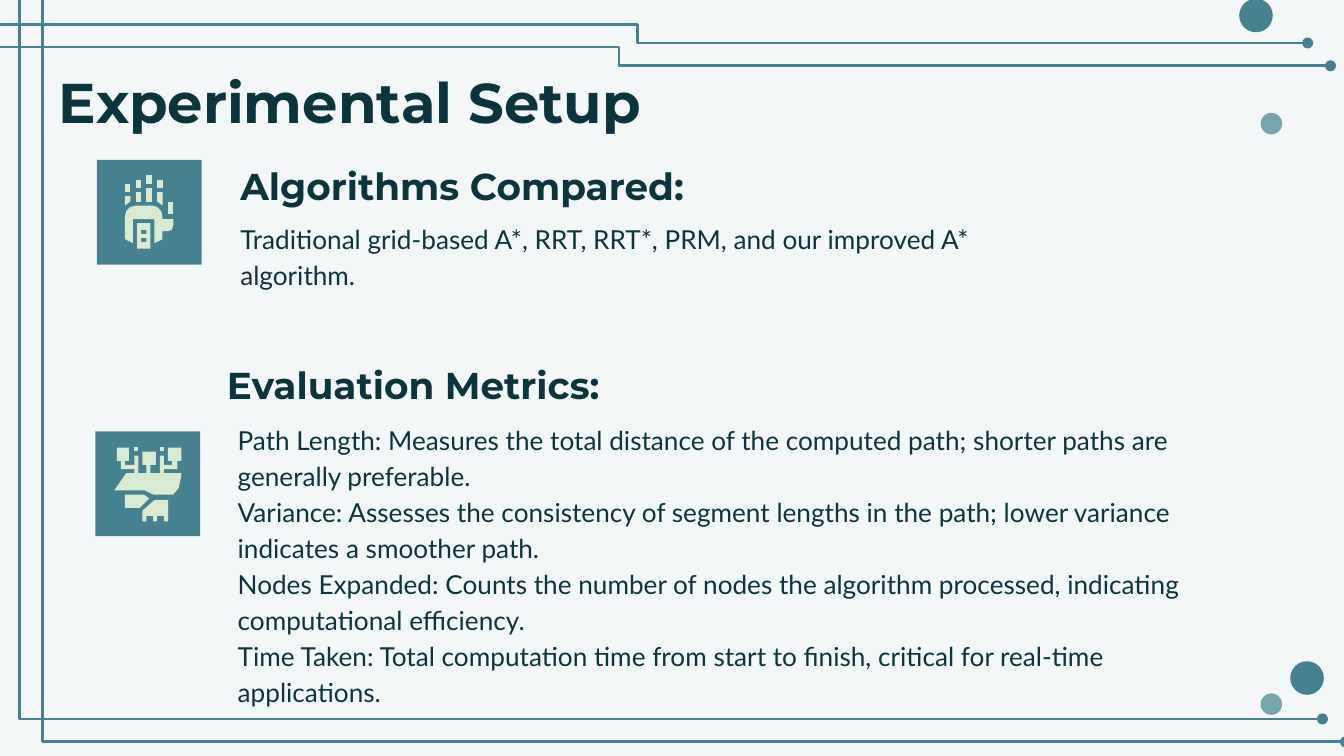
from lxml import etree
from pptx import Presentation, util as u
from pptx.dml.color import RGBColor
from pptx.enum import shapes as sh, text as tx
from pptx.oxml.ns import qn

theme = {
    "back": "F3F7F8", "teal": "45818E", "pale": "76A5AF",
    "mint": "D9EAD3", "ink": "0C343D",
    # font, size, bold, line spacing, anchor
    "title": ("Montserrat", 30, True, 1, tx.MSO_ANCHOR.TOP),
    "head": ("Montserrat", 20, True, 1.15, tx.MSO_ANCHOR.BOTTOM),
    "body": ("Lato", 14, False, 1.15, tx.MSO_ANCHOR.TOP),
}

deck = Presentation()
deck.slide_width = u.Inches(10)
deck.slide_height = deck.slide_width * 9 // 16
slide = deck.slides.add_slide(deck.slide_layouts[6])

# Grid: the slide is 1000 columns wide, and rows are as tall as columns
unit = deck.slide_width // 1000


def hue(name):
    return RGBColor.from_string(theme[name])


def paint(shape, name):
    shape.shadow.inherit = False
    shape.fill.solid()
    shape.fill.fore_color.rgb = hue(name)
    shape.line.fill.background()


slide.background.fill.solid()
slide.background.fill.fore_color.rgb = hue("back")

# Circuit lines: start, end, place of the bend in 1/100000 of the width
for x1, y1, x2, y2, bend in [
    (7, -65, 984, 535, 800),
    (-24, 18, 973, 32, 50000),
    (-7, 35, 990, 49, 46900),
    (24, -48, 1001, 552, 800),
]:
    wire = slide.shapes.add_connector(
        sh.MSO_CONNECTOR.ELBOW, *(n * unit for n in (x1, y1, x2, y2)))
    wire.line.color.rgb = hue("teal")
    wire.line.width = u.Pt(1.5)
    props = wire.element.spPr
    guides = props.find(qn("a:prstGeom")).get_or_add_avLst()
    etree.SubElement(guides, qn("a:gd"), name="adj1", fmla=f"val {bend}")
    etree.SubElement(props.find(qn("a:ln")), qn("a:tailEnd"), type="oval")
    etree.SubElement(props, qn("a:effectLst"))

# Corner dots
for x, y, size, name in [
    (938, 516, 16, "pale"), (960, 492, 25, "teal"),
    (938, 84, 16, "pale"), (922, -1, 25, "teal"),
]:
    dot = slide.shapes.add_shape(
        sh.MSO_SHAPE.OVAL, *(n * unit for n in (x, y, size, size)))
    paint(dot, name)

# Texts
for style, x, y, w, h, lines in [
    ("title", 34, 40, 843, 63, ["Experimental Setup"]),
    ("body", 169, 153, 574, 66, [
        "Traditional grid-based A*, RRT, RRT*, PRM, and our improved A* algorithm."]),
    ("body", 167, 302, 728, 221, [
        "Path Length: Measures the total distance of the computed path; shorter paths are generally preferable.",
        "Variance: Assesses the consistency of segment lengths in the path; lower variance indicates a smoother path.",
        "Nodes Expanded: Counts the number of nodes the algorithm processed, indicating computational efficiency.",
        "Time Taken: Total computation time from start to finish, critical for real-time applications."]),
    ("head", 169, 125, 574, 40, ["Algorithms Compared:"]),
    ("head", 159, 273, 574, 40, ["Evaluation Metrics:"]),
]:
    face, size, bold, space, anchor = theme[style]
    frame = slide.shapes.add_textbox(*(n * unit for n in (x, y, w, h))).text_frame
    frame.word_wrap = True
    frame.vertical_anchor = anchor
    frame.margin_left = frame.margin_right = 10 * unit
    frame.margin_top = frame.margin_bottom = 10 * unit
    frame.text = "\n".join(lines)
    for para in frame.paragraphs:
        para.line_spacing = space
        font = para.runs[0].font
        font.name, font.size, font.bold = face, u.Pt(size), bold
        font.color.rgb = hue("ink")

# Icon tiles
for x, y in [(72, 119), (71, 321)]:
    tile = slide.shapes.add_shape(
        sh.MSO_SHAPE.RECTANGLE, *(n * unit for n in (x, y, 78, 78)))
    paint(tile, "teal")


def box(x, y, w, h):
    return [(x, y), (x, y + h), (x + w, y + h), (x + w, y)]


# Icon parts: each is a list of outlines, later outlines cut holes
parts = [[box(*spot)] for spot in [
    (93, 137, 4, 6), (101, 134, 4, 6), (109, 130, 4, 7), (117, 134, 4, 6),
    (101, 143, 4, 7), (109, 140, 4, 10), (125, 150, 4, 9),
    (100, 333, 3, 3), (119, 333, 3, 3),
]]
parts += [
    # Head: door with windows, slanted pixels, skull
    [box(102, 166, 10, 19), box(105, 171, 4, 3), box(105, 177, 4, 3)],
    [[(93, 146), (93, 153), (97, 150), (97, 146)]],
    [[(117, 143), (117, 150), (121, 153), (121, 143)]],
    [[(101, 153), (97, 154), (94, 157), (93, 161), (93, 178), (99, 181),
      (99, 163), (115, 163), (115, 181), (121, 178), (121, 172), (125, 172),
      (128, 171), (129, 167), (129, 163), (121, 163), (121, 161), (120, 157),
      (117, 154), (113, 153)]],
    # Hand: circuit palm, wrist, thumb
    [[(125, 333), (125, 343), (128, 343), (128, 346), (122, 346), (122, 339),
      (119, 339), (119, 352), (112, 352), (112, 346), (116, 346), (116, 336),
      (106, 336), (106, 346), (109, 346), (109, 352), (103, 352), (103, 339),
      (100, 339), (100, 346), (93, 346), (93, 343), (96, 343), (96, 333),
      (87, 333), (87, 343), (90, 343), (90, 349), (100, 349), (100, 352),
      (94, 352), (85, 365), (108, 365), (114, 368), (129, 368), (133, 363),
      (135, 354), (135, 352), (122, 352), (122, 349), (132, 349), (132, 343),
      (135, 343), (135, 333)]],
    [[(115, 372), (106, 380), (106, 388), (109, 388), (109, 384), (114, 384),
      (114, 388), (117, 388), (117, 384), (122, 384), (122, 388), (125, 388),
      (125, 372)]],
    [[(93, 368), (93, 378), (104, 378), (111, 371), (107, 368)]],
]
for first, *holes in parts:
    pen = slide.shapes.build_freeform(*first[0], scale=unit)
    pen.add_line_segments(first[1:], close=True)
    for hole in holes:
        pen.move_to(*hole[0])
        pen.add_line_segments(hole[1:], close=True)
    paint(pen.convert_to_shape(), "mint")

deck.save("out.pptx")
